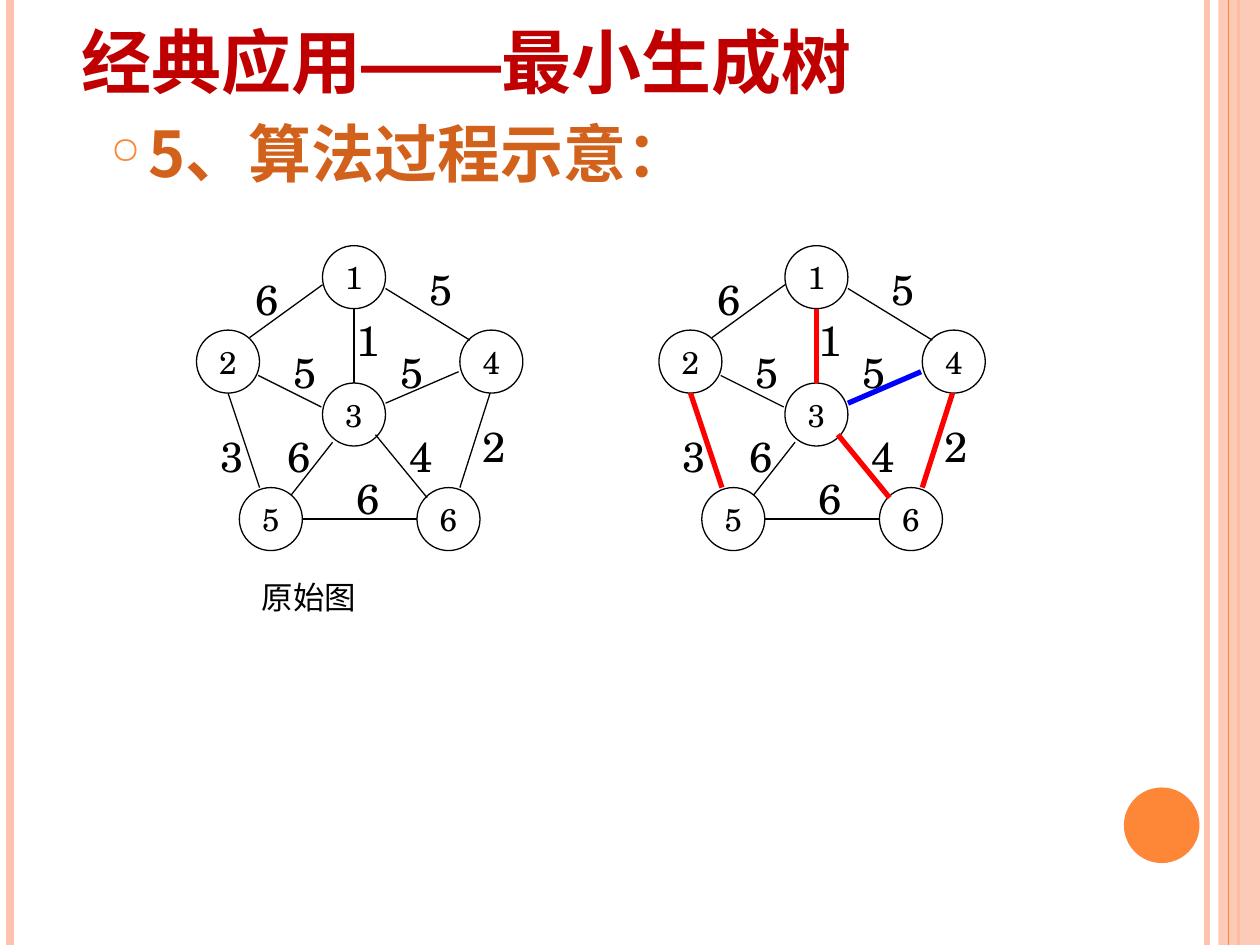
from dataclasses import dataclass
from lxml.etree import SubElement
from pptx import Presentation
from pptx.dml.color import RGBColor
from pptx.enum.shapes import MSO_CONNECTOR, MSO_SHAPE
from pptx.enum.text import MSO_ANCHOR, PP_ALIGN
from pptx.oxml.ns import qn
from pptx.util import Inches, Pt


@dataclass(frozen=True)
class Theme:
    title: str = "C00000"
    heading: str = "D2611C"
    accent: str = "FE8637"
    pale: str = "FEC3AE"
    ink: str = "000000"
    tree: str = "FF0000"
    candidate: str = "0000FF"
    serif: str = "TeX Gyre Schola"
    sans: str = "Arial"
    cjk: str = "Noto Sans CJK SC"
    title_size: int = 40
    heading_size: int = 36
    weight_size: int = 24
    node_size: int = 18
    thin: float = 0.75
    thick: float = 3


theme = Theme()


def add_run(p, text, size, font, color, bold=False, east_asian=theme.cjk):
    r = p.add_run()
    r.text = text
    r.font.size = Pt(size)
    r.font.name = font
    r.font.bold = bold
    r.font.color.rgb = RGBColor.from_string(color)
    SubElement(r.font._element, qn("a:ea"), typeface=east_asian)


def add_line(x1, y1, x2, y2, color, width):
    line = s.shapes.add_connector(
        MSO_CONNECTOR.STRAIGHT, Inches(x1), Inches(y1), Inches(x2), Inches(y2))
    line.line.color.rgb = RGBColor.from_string(color)
    line.line.width = Pt(width)
    SubElement(line._element.spPr, qn("a:effectLst"))
    return line


prs = Presentation()
prs.slide_width = Inches(10)
prs.slide_height = Inches(7.5)
s = prs.slides.add_slide(prs.slide_layouts[5])

rails = [(9.58, theme.pale, 3), (0.08, theme.pale, 4.5), (9.83, theme.accent, 1.5)]
for x, color, width in rails:
    add_line(x, 0, x, 7.5, color, width)

band = s.shapes.add_shape(MSO_SHAPE.RECTANGLE, Inches(9.67), 0, Inches(0.33), Inches(7.5))
disc = s.shapes.add_shape(
    MSO_SHAPE.OVAL, Inches(8.92), Inches(6.25), Inches(0.6), Inches(0.6))
for sp, color in [(band, theme.pale), (disc, theme.accent)]:
    sp.shadow.inherit = False
    sp.fill.solid()
    sp.fill.fore_color.rgb = RGBColor.from_string(color)
    sp.line.fill.background()
band_color = band._element.spPr.find(qn("a:solidFill")).find(qn("a:srgbClr"))
SubElement(band_color, qn("a:alpha"), val="87000")
add_line(9.75, 0, 9.75, 7.5, theme.accent, theme.thin)

title = s.shapes.title
title.left, title.top = Inches(0.55), Inches(-0.39)
title.width, title.height = Inches(8.17), Inches(1.25)
tf = title.text_frame
tf.word_wrap = True
tf.vertical_anchor = MSO_ANCHOR.BOTTOM
p = tf.paragraphs[0]
p.alignment = PP_ALIGN.LEFT
add_run(p, "经典应用", theme.title_size, theme.serif, theme.title, True)
add_run(p, "——", theme.title_size, theme.sans, theme.title, True, theme.sans)
add_run(p, "最小生成树", theme.title_size, theme.serif, theme.title, True)

heading = s.shapes.add_textbox(Inches(0.78), Inches(0.86), Inches(6.5), Inches(0.83))
tf = heading.text_frame
tf.word_wrap = True
p = tf.paragraphs[0]
pPr = p._p.get_or_add_pPr()
pPr.set("marL", str(Inches(0.3)))
pPr.set("indent", str(Inches(-0.3)))
bullet_color = SubElement(pPr, qn("a:buClr"))
SubElement(bullet_color, qn("a:srgbClr"), val=theme.accent)
SubElement(pPr, qn("a:buSzPct"), val="60000")
SubElement(pPr, qn("a:buChar"), char="○")
add_run(p, "5、算法过程示意：", theme.heading_size, theme.cjk, theme.heading, True)

nodes = [("1", 2.56, 1.95), ("2", 1.56, 2.62), ("3", 2.56, 3.04),
         ("4", 3.65, 2.62), ("5", 1.9, 3.87), ("6", 3.31, 3.87)]
edges = [
    ((1.98, 2.68, 2.56, 2.26), "6", (1.93, 2.12), None),
    ((2.31, 3.93, 2.64, 3.51), "6", (2.18, 3.37), None),
    ((3.06, 3.2, 3.64, 2.95), "5", (3.08, 2.7), theme.candidate),
    ((2.05, 2.98, 2.55, 3.23), "5", (2.23, 2.7), None),
    ((3.06, 2.29, 3.73, 2.7), "5", (3.31, 2.04), None),
    ((3.65, 3.87, 3.89, 3.12), "2", (3.73, 3.29), theme.tree),
    ((2.06, 3.87, 1.81, 3.12), "3", (1.65, 3.37), theme.tree),
    ((2.4, 4.12, 3.31, 4.12), "6", (2.73, 3.7), None),
    ((2.81, 3.04, 2.81, 2.45), "1", (2.73, 2.45), theme.tree),
    ((2.98, 3.45, 3.39, 3.95), "4", (3.15, 3.37), theme.tree),
]

for dx, show_tree in [(0, False), (3.67, True)]:
    for name, x, y in nodes:
        node = s.shapes.add_shape(
            MSO_SHAPE.OVAL, Inches(x + dx), Inches(y), Inches(0.5), Inches(0.5))
        node.shadow.inherit = False
        node.fill.background()
        node.line.color.rgb = RGBColor.from_string(theme.ink)
        node.line.width = Pt(theme.thin)
        tf = node.text_frame
        tf.word_wrap = False
        tf.vertical_anchor = MSO_ANCHOR.MIDDLE
        p = tf.paragraphs[0]
        p.alignment = PP_ALIGN.CENTER
        add_run(p, name, theme.node_size, theme.serif, theme.ink)

    for (x1, y1, x2, y2), weight, (x, y), mark in edges:
        marked = show_tree and mark
        add_line(x1 + dx, y1, x2 + dx, y2,
                 mark if marked else theme.ink, theme.thick if marked else theme.thin)
        label = s.shapes.add_textbox(Inches(x + dx), Inches(y), Inches(0.33), Inches(0.5))
        tf = label.text_frame
        tf.word_wrap = True
        add_run(tf.paragraphs[0], weight, theme.weight_size, theme.serif, theme.ink)

caption = s.shapes.add_textbox(Inches(1.98), Inches(4.54), Inches(1.75), Inches(0.4))
tf = caption.text_frame
tf.word_wrap = True
add_run(tf.paragraphs[0], "原始图", theme.node_size, theme.serif, theme.ink)

prs.save("out.pptx")
